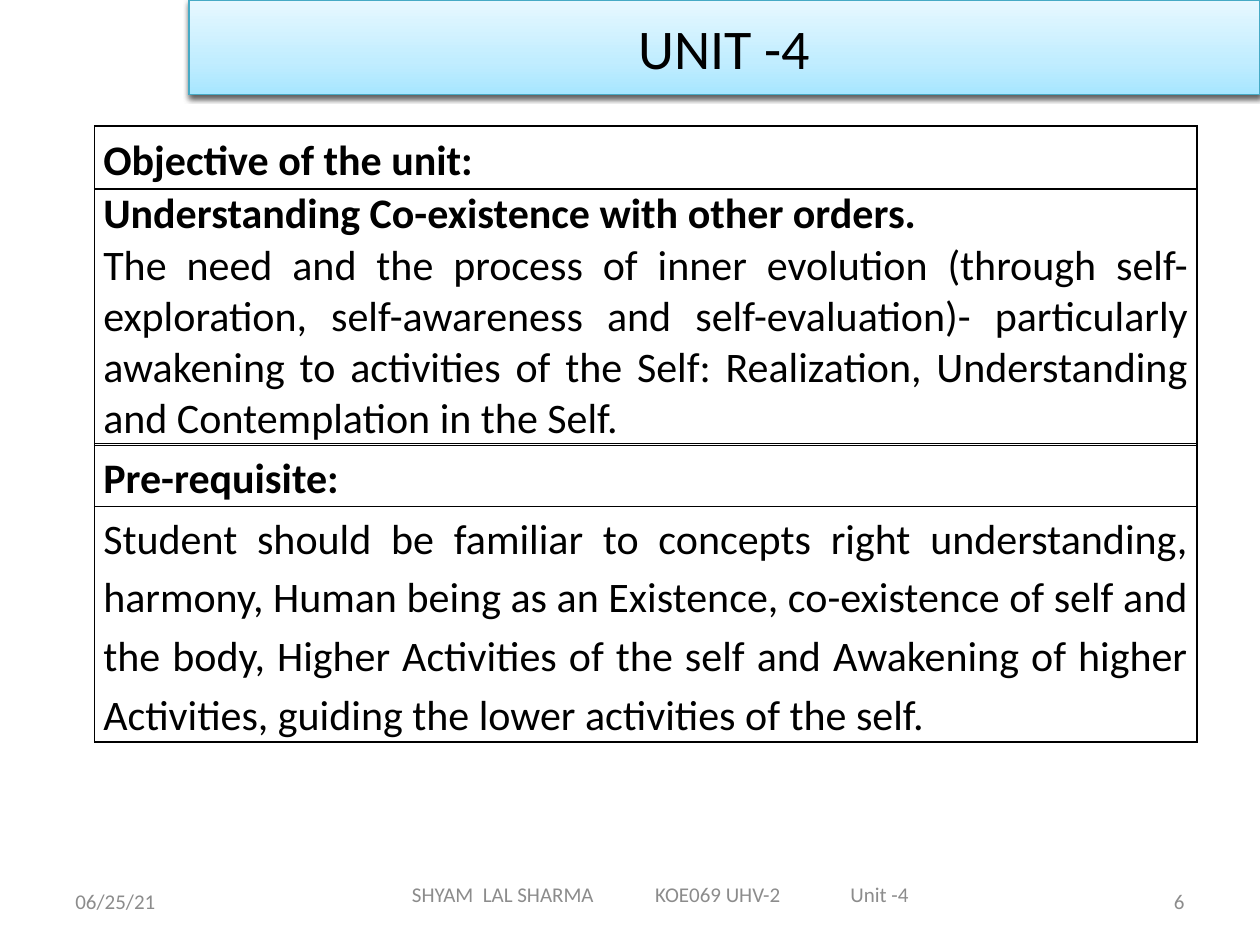
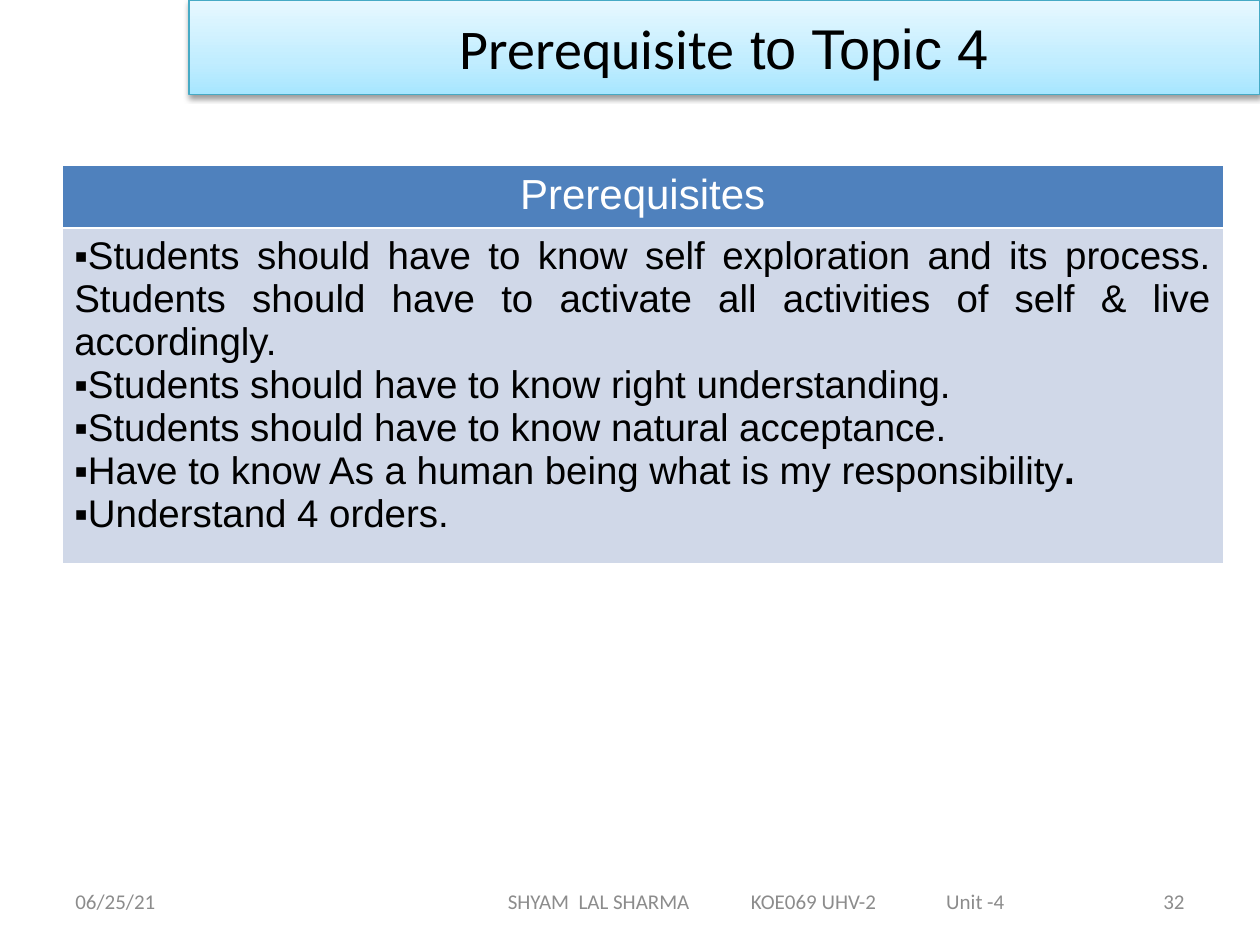
from collections import namedtuple
from dataclasses import dataclass

from lxml import etree
from pptx import Presentation
from pptx import util as u
from pptx.dml.color import RGBColor
from pptx.enum import text
from pptx.enum.shapes import MSO_SHAPE
from pptx.oxml import ns

ALIGN = text.PP_ALIGN
ANCHOR = text.MSO_ANCHOR


@dataclass(frozen=True)
class Theme:
    heading_font: str = "Calibri"
    list_font: str = "Arial"
    black: str = "000000"
    white: str = "FFFFFF"
    footer_grey: str = "8C8C8C"
    band_line: str = "46AAC5"
    band_stops: tuple = ((0, "A7E6FF"), (35, "C1EDFF"), (100, "E7F8FF"))
    header_fill: str = "4F81BD"
    list_fill: str = "D0D8E8"
    title_size: int = 32
    body_size: int = 24
    list_size: int = 22
    footer_size: int = 12


THEME = Theme()
BAND = (1.5, 0, 8.5, 0.75)
FOOTER_PARTS = ("SHYAM  LAL SHARMA", "KOE069 UHV-2", "Unit -4")
FOOTER_TABS = (1.93, 3.48)

Style = namedtuple("Style", "font size color bold", defaults=(False,))
Line = namedtuple("Line", "runs align spacing bullet", defaults=(ALIGN.JUSTIFY, None, None))

TITLE = Style(THEME.heading_font, THEME.title_size, THEME.black)
BODY = Style(THEME.heading_font, THEME.body_size, THEME.black)
STRONG = BODY._replace(bold=True)
FOOTER = Style(THEME.heading_font, THEME.footer_size, THEME.footer_grey)
LIST = Style(THEME.list_font, THEME.list_size, THEME.black)
LIST_HEADER = Style(THEME.list_font, THEME.body_size, THEME.white)


def add_xml(parent, tag, **attributes):
    return etree.SubElement(parent, ns.qn(tag), attributes)


def place(shape, box):
    shape.left, shape.top, shape.width, shape.height = map(u.Inches, box)


def write(frame, lines):
    for index, line in enumerate(lines):
        paragraph = frame.paragraphs[0] if index == 0 else frame.add_paragraph()
        paragraph.alignment = line.align
        paragraph.line_spacing = line.spacing
        for words, style in line.runs:
            run = paragraph.add_run()
            run.text = words
            run.font.name = style.font
            run.font.size = u.Pt(style.size)
            run.font.bold = style.bold
            run.font.color.rgb = RGBColor.from_string(style.color)
        if line.bullet:
            properties = paragraph._p.get_or_add_pPr()
            properties.set("marL", "0")
            properties.set("indent", "0")
            add_xml(properties, "a:buFont", typeface=THEME.list_font)
            add_xml(properties, "a:buChar", char=line.bullet)


def style_band(shape):
    place(shape, BAND)
    shape.fill.gradient()
    shape.fill.gradient_angle = 90
    properties = shape._element.spPr
    stops = properties.find(".//" + ns.qn("a:gsLst"))
    stops.clear()
    for position, color in THEME.band_stops:
        stop = add_xml(stops, "a:gs", pos=str(position * 1000))
        add_xml(stop, "a:srgbClr", val=color)
    shape.line.color.rgb = RGBColor.from_string(THEME.band_line)
    shape.line.width = u.Pt(0.75)
    shape.shadow.inherit = False
    shadow = add_xml(properties.find(ns.qn("a:effectLst")), "a:outerShdw",
                     blurRad="40000", dist="20000", dir="5400000", rotWithShape="0")
    color = add_xml(shadow, "a:srgbClr", val=THEME.black)
    add_xml(color, "a:alpha", val="38000")


def add_title(slide, runs):
    title = slide.shapes.title
    style_band(title)
    frame = title.text_frame
    frame.auto_size = text.MSO_AUTO_SIZE.NONE
    frame.vertical_anchor = ANCHOR.MIDDLE
    write(frame, [Line(runs, ALIGN.CENTER)])


def add_back_band(slide):
    band = slide.shapes.add_shape(MSO_SHAPE.RECTANGLE, *map(u.Inches, BAND))
    style_band(band)
    slide.shapes.title._element.addprevious(band._element)


def add_label(slide, box, words, align):
    label = slide.shapes.add_textbox(*map(u.Inches, box))
    frame = label.text_frame
    frame.word_wrap = True
    frame.vertical_anchor = ANCHOR.MIDDLE
    write(frame, [Line([(words, FOOTER)], align)])
    return frame


def add_footer(slide, number, box, indent):
    add_label(slide, (0.5, 6.95, 2.33, 0.4), "06/25/21", ALIGN.LEFT)
    add_label(slide, (7.17, 6.95, 2.33, 0.4), number, ALIGN.RIGHT)
    frame = add_label(slide, box, "\t".join(FOOTER_PARTS), ALIGN.LEFT)
    frame.margin_left = u.Inches(indent)
    tabs = add_xml(frame.paragraphs[0]._p.get_or_add_pPr(), "a:tabLst")
    for position in FOOTER_TABS:
        add_xml(tabs, "a:tab", pos=str(u.Inches(position)), algn="l")


def set_borders(cell, color):
    properties = cell._tc.get_or_add_tcPr()
    for index, side in enumerate(("a:lnL", "a:lnR", "a:lnT", "a:lnB")):
        border = add_xml(properties, side, w=str(u.Pt(1)))
        add_xml(add_xml(border, "a:solidFill"), "a:srgbClr", val=color)
        properties.insert(index, border)


def add_column_table(slide, box, heights, contents, border, fills=(None, None)):
    frame = slide.shapes.add_table(len(contents), 1, *map(u.Inches, box))
    table = frame.table
    table.first_row = table.horz_banding = False
    for row, height, lines, fill in zip(table.rows, heights, contents, fills):
        row.height = u.Inches(height)
        cell = row.cells[0]
        if fill:
            cell.fill.solid()
            cell.fill.fore_color.rgb = RGBColor.from_string(fill)
        else:
            cell.fill.background()
        set_borders(cell, border)
        write(cell.text_frame, lines)
    return table


def add_unit_table(slide, top, heights, heading, lines):
    contents = [[Line([(heading, STRONG)], spacing=1.15)], lines]
    table = add_column_table(slide, (0.75, top, 8.75, sum(heights)), heights,
                             contents, THEME.black)
    for cell in table.iter_cells():
        cell.margin_left = cell.margin_right = u.Inches(0.07)
        cell.margin_top = cell.margin_bottom = 0
    table.cell(0, 0).vertical_anchor = ANCHOR.MIDDLE


def build_unit_slide(slide):
    add_back_band(slide)
    add_title(slide, [("UNIT -4", TITLE)])
    add_unit_table(slide, 1, (0.5, 2), "Objective of the unit:", [
        Line([("Understanding Co-existence with other orders.", STRONG)], ALIGN.LEFT),
        Line([("The need and the process of inner evolution (through self-exploration, "
               "self-awareness and self-evaluation)- particularly awakening to activities "
               "of the Self: Realization, Understanding and Contemplation in the Self.",
               BODY)]),
    ])
    add_unit_table(slide, 3.52, (0.5, 1.84), "Pre-requisite:", [
        Line([("Student should be familiar to concepts right understanding, harmony, "
               "Human being as an Existence, co-existence of self and the body, Higher "
               "Activities of the self and Awakening of higher Activities, guiding the "
               "lower activities of the self.", BODY)], spacing=1.15),
    ])
    add_footer(slide, "6", (2.67, 6.9, 5.17, 0.4), 0.6)


def build_prerequisite_slide(slide):
    add_title(slide, [("Prerequisite", TITLE),
                      (" to Topic 4", TITLE._replace(font=THEME.list_font))])
    add_footer(slide, "32", (3.12, 6.95, 5.78, 0.4), 0.91)
    items = [
        [("Students should have to know self exploration and its process. Students "
          "should have to activate all activities of self & live accordingly.", LIST)],
        [("Students should have to know right understanding.", LIST)],
        [("Students should have to know natural acceptance.", LIST)],
        [("Have to know As a human being what is my responsibility", LIST),
         (".", LIST._replace(bold=True))],
        [("Understand 4 orders.", LIST)],
    ]
    contents = [[Line([("Prerequisites", LIST_HEADER)], ALIGN.CENTER)],
                [Line(runs, bullet="▪") for runs in items]]
    heights = (0.46, 2.49)
    add_column_table(slide, (0.49, 1.31, 9.22, sum(heights)), heights, contents,
                     THEME.white, (THEME.header_fill, THEME.list_fill))


def main():
    presentation = Presentation()
    presentation.slide_width = u.Inches(10)
    presentation.slide_height = u.Inches(7.5)
    title_only = presentation.slide_layouts[5]
    for build in (build_unit_slide, build_prerequisite_slide):
        build(presentation.slides.add_slide(title_only))
    presentation.save("out.pptx")


main()
